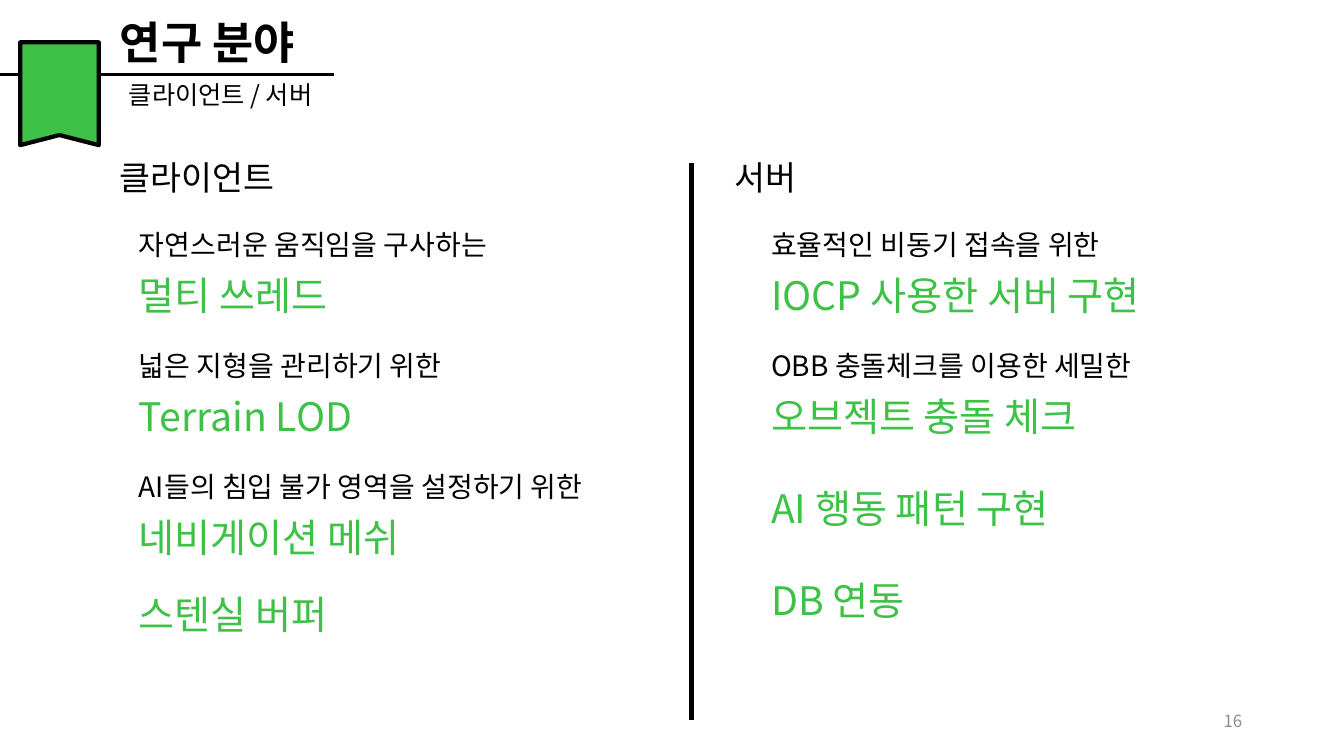
from lxml.etree import SubElement
from pptx import Presentation
from pptx.dml.color import RGBColor
from pptx.enum.shapes import MSO_CONNECTOR
from pptx.enum.text import MSO_ANCHOR, PP_ALIGN
from pptx.oxml.ns import qn
from pptx.util import Emu, Pt

PX = 9144  # 100 px to the inch
FONT = "Noto Sans CJK KR"
BLACK, GREEN, GRAY = "000000", "3DC147", "8C8C8C"

# Each topic: top offset in its column, lead-in (may be empty), keyword
CLIENT_TOPICS = [
    (70, "자연스러운 움직임을 구사하는", "멀티 쓰레드"),
    (190, "넓은 지형을 관리하기 위한", "Terrain LOD"),
    (310, "AI들의 침입 불가 영역을 설정하기 위한", "네비게이션 메쉬"),
    (430, "", "스텐실 버퍼"),
]
SERVER_TOPICS = [
    (70, "효율적인 비동기 접속을 위한", "IOCP 사용한 서버 구현"),
    (190, "OBB 충돌체크를 이용한 세밀한", "오브젝트 충돌 체크"),
    (325, "", "AI 행동 패턴 구현"),
    (416, "", "DB 연동"),
]


def px(length):
    return Emu(length * PX)


def color(hex_code):
    return RGBColor.from_string(hex_code)


def add_text(slide, text, left, top, width, height, size, hue=BLACK,
             bold=False, align=PP_ALIGN.LEFT, anchor=MSO_ANCHOR.TOP):
    frame = slide.shapes.add_textbox(
        px(left), px(top), px(width), px(height)).text_frame
    frame.word_wrap = True
    frame.vertical_anchor = anchor
    paragraph = frame.paragraphs[0]
    paragraph.text = text
    paragraph.alignment = align
    font = paragraph.font
    font.size, font.bold, font.name = Pt(size), bold, FONT
    font.color.rgb = color(hue)
    # Hangul takes the East Asian typeface
    defaults = paragraph._p.get_or_add_pPr().find(qn("a:defRPr"))
    SubElement(defaults, qn("a:ea")).set("typeface", FONT)


def add_rule(slide, x1, y1, x2, y2, weight):
    rule = slide.shapes.add_connector(
        MSO_CONNECTOR.STRAIGHT, px(x1), px(y1), px(x2), px(y2))
    rule.line.color.rgb = color(BLACK)
    rule.line.width = Pt(weight)
    SubElement(rule._element.spPr, qn("a:effectLst"))


def add_ribbon(slide, left, top, width, height):
    right, bottom, notch = left + width, top + height, 10
    outline = slide.shapes.build_freeform(left, top, scale=PX)
    outline.add_line_segments([
        (right, top), (right, bottom),
        (left + width // 2, bottom - notch), (left, bottom)])
    ribbon = outline.convert_to_shape()
    ribbon.shadow.inherit = False
    ribbon.fill.solid()
    ribbon.fill.fore_color.rgb = color(GREEN)
    ribbon.line.color.rgb = color(BLACK)
    ribbon.line.width = Pt(3)


def add_header(slide, left, top, width, title, subtitle):
    baseline = top + 64
    add_rule(slide, left, baseline, left + width, baseline, 2.5)
    add_text(slide, title, left + 109, top, 231, 64, 32, bold=True)
    add_text(slide, subtitle, left + 118, baseline, 241, 40, 18)
    add_ribbon(slide, left + 20, top + 32, 78, 102)


def add_column(slide, left, top, width, indent, heading, topics):
    add_text(slide, heading, left, top, 186, 50, 24)
    topic_left, topic_width = left + indent, width - indent
    for offset, lead_in, keyword in topics:
        keyword_top = top + offset
        if lead_in:
            add_text(slide, lead_in, topic_left, keyword_top,
                     topic_width, 44, 20)
            keyword_top += 43
        add_text(slide, keyword, topic_left, keyword_top,
                 topic_width, 57, 28, GREEN)


def main():
    deck = Presentation()
    deck.slide_width, deck.slide_height = px(1333), px(750)
    slide = deck.slides.add_slide(deck.slide_layouts[6])

    # Header
    add_header(slide, 0, 10, 331, "연구 분야", "클라이언트 / 서버")

    # Research areas on both sides of the divider
    add_column(slide, 109, 151, 512, 19, "클라이언트", CLIENT_TOPICS)
    add_rule(slide, 686, 162, 686, 714, 3.5)
    add_column(slide, 719, 151, 529, 36, "서버", SERVER_TOPICS)

    # Page number
    add_text(slide, "16", 942, 695, 300, 40, 12, GRAY,
             align=PP_ALIGN.RIGHT, anchor=MSO_ANCHOR.MIDDLE)

    deck.save("out.pptx")


if __name__ == "__main__":
    main()
